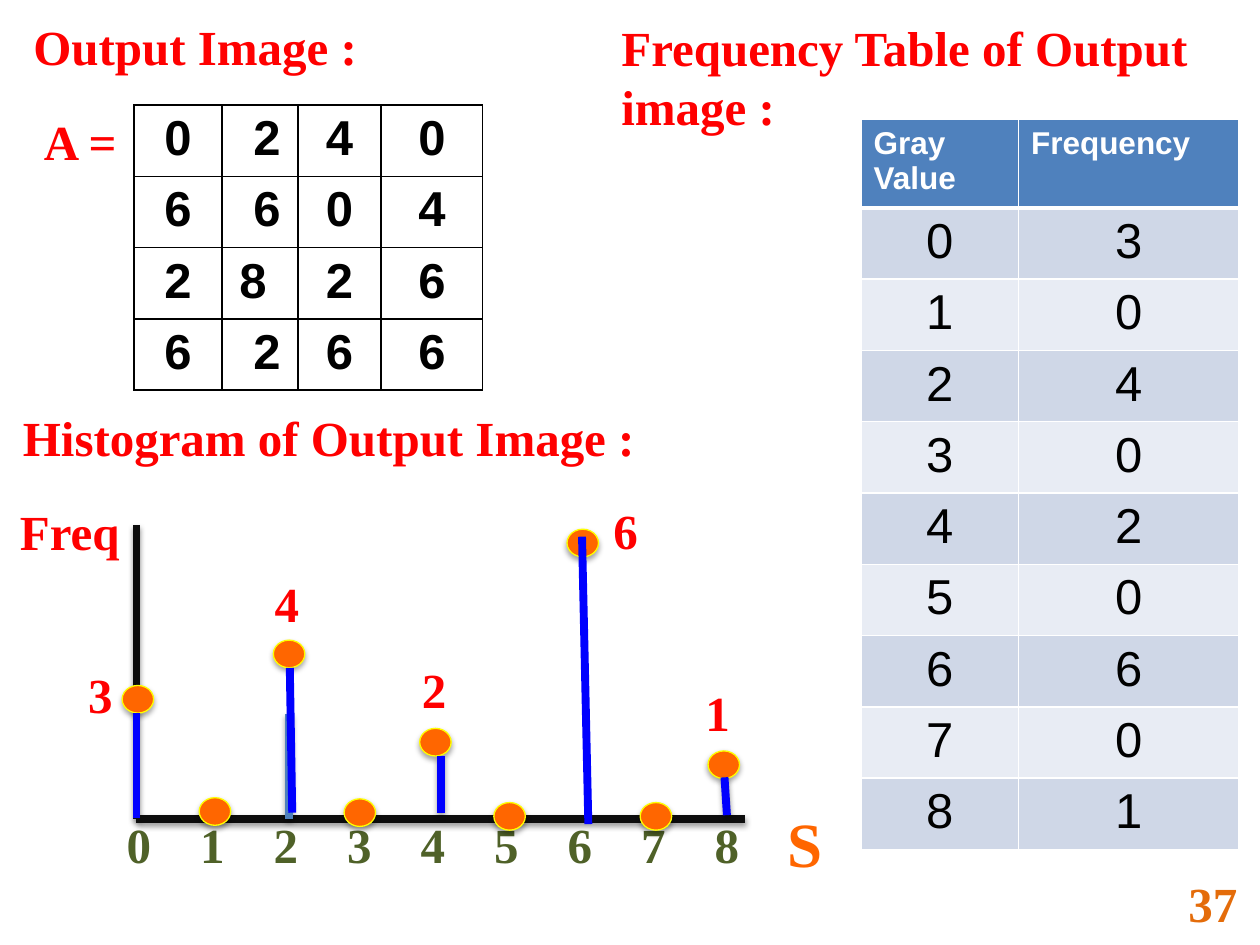
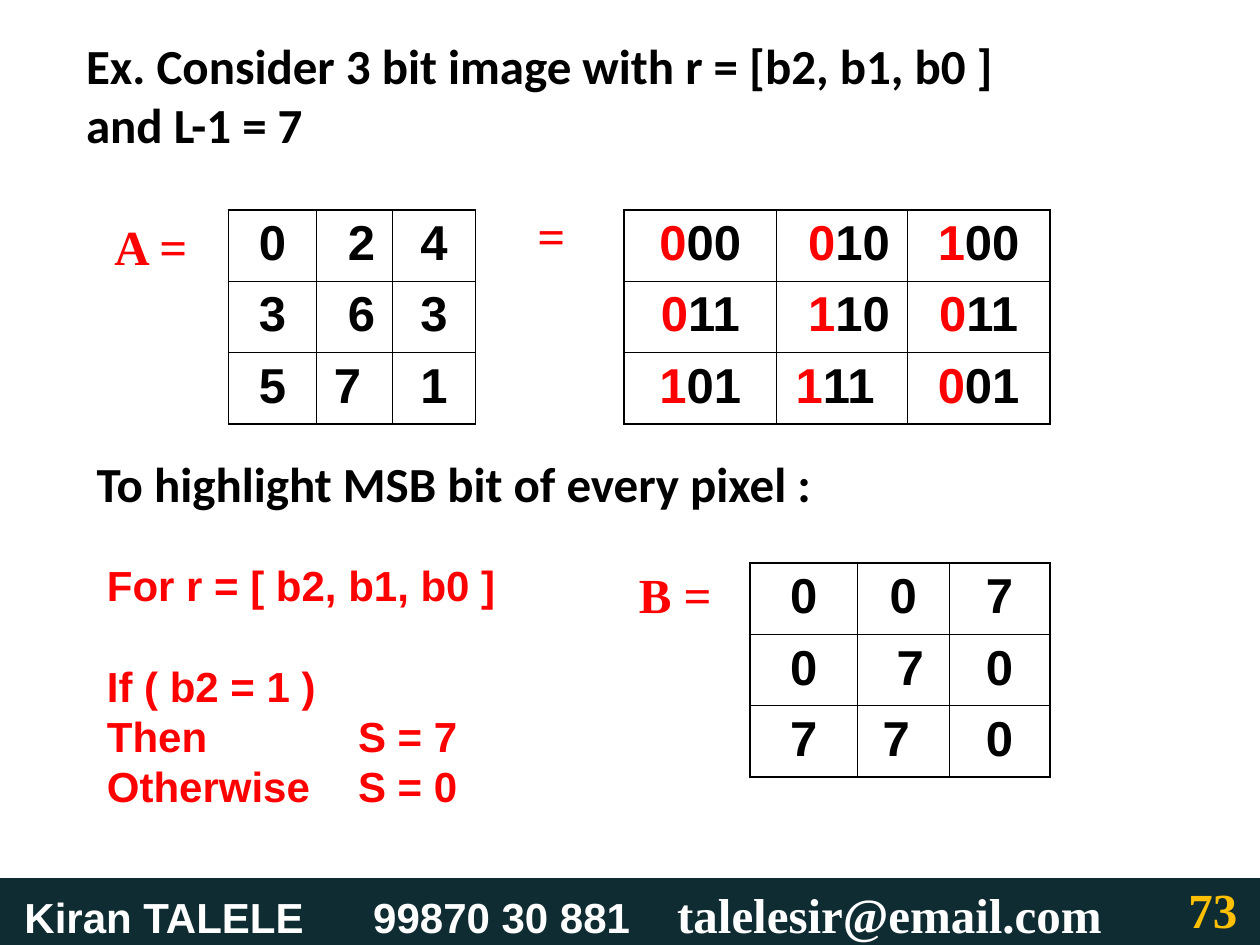
from lxml import etree
from pptx import Presentation
from pptx.dml.color import RGBColor
from pptx.enum.shapes import MSO_CONNECTOR, MSO_SHAPE
from pptx.enum.text import MSO_ANCHOR, MSO_AUTO_SIZE, PP_ALIGN
from pptx.oxml.ns import qn
from pptx.util import Pt

LEFT, CENTER = PP_ALIGN.LEFT, PP_ALIGN.CENTER
TOP, MIDDLE = MSO_ANCHOR.TOP, MSO_ANCHOR.MIDDLE
NO_AUTOFIT = MSO_AUTO_SIZE.NONE
STRAIGHT = MSO_CONNECTOR.STRAIGHT
OVAL, RECTANGLE = MSO_SHAPE.OVAL, MSO_SHAPE.RECTANGLE

SERIF, SANS, TITLE_FONT = "Times New Roman", "Arial", "Calibri"
RED, BLACK, WHITE, BLUE = "FF0000", "000000", "FFFFFF", "0000FF"
GREEN, ORANGE, YELLOW, AXIS = "4F6128", "FF6600", "FFFF00", "0D0D0D"
HEADER, BAND_DARK, BAND_LIGHT = "4F81BD", "CFD7E7", "E8ECF4"
FOOTER, PAGE_ORANGE, PAGE_GOLD = "102C33", "E46C0A", "FFC000"

BODY = 28
MARGIN = 7.2
NUDGE = 8
ROW = 40.75
LABEL_HEIGHT = 41
MARKER_SIZE = (18, 15.8)


def rgb(value):
    return RGBColor.from_string(value)


def points(*values):
    return [Pt(value) for value in values]


class Deck:
    def __init__(self):
        self.prs = Presentation()
        self.prs.slide_width, self.prs.slide_height = points(720, 540)
        self.slide = None

    def new_slide(self, layout):
        self.slide = self.prs.slides.add_slide(self.prs.slide_layouts[layout])

    def run(self, paragraph, text, color=RED, size=BODY, font=SERIF, bold=True):
        run = paragraph.add_run()
        run.text = text
        run.font.name, run.font.size, run.font.bold = font, Pt(size), bold
        run.font.color.rgb = rgb(color)

    def tabs(self, paragraph, *stops):
        tab_list = etree.SubElement(paragraph._p.get_or_add_pPr(), qn("a:tabLst"))
        for stop in stops:
            etree.SubElement(tab_list, qn("a:tab"), pos=str(Pt(stop)), algn="l")

    def frame(self, shape, anchor=MIDDLE):
        frame = shape.text_frame
        frame.word_wrap, frame.auto_size = True, NO_AUTOFIT
        frame.vertical_anchor = anchor
        return frame

    def label(self, text, left, top, width, height=LABEL_HEIGHT,
              anchor=MIDDLE, align=LEFT, **style):
        box = self.slide.shapes.add_textbox(*points(left, top, width, height))
        paragraph = self.frame(box, anchor).paragraphs[0]
        paragraph.alignment = align
        self.run(paragraph, text, **style)
        return paragraph

    def title(self, lines, left, top, width, height):
        title = self.slide.shapes.title
        title.left, title.top, title.width, title.height = points(
            left, top, width, height)
        paragraph = self.frame(title).paragraphs[0]
        paragraph.alignment = LEFT
        for index, line in enumerate(lines):
            if index:
                paragraph.add_line_break()
            self.run(paragraph, line, BLACK, font=TITLE_FONT)

    def page_number(self, number, top, color):
        self.label(number, 672, top, 48, 44, anchor=TOP, color=color)

    def effects(self, shape, shadow=None):
        """Shadow is (opacity in percent, distance); None means no shadow."""
        properties = shape._element.spPr
        effects = properties.find(qn("a:effectLst"))
        if effects is None:
            effects = etree.SubElement(properties, qn("a:effectLst"))
        if shadow:
            opacity, distance = shadow
            outer = etree.SubElement(
                effects, qn("a:outerShdw"), blurRad=str(Pt(3.1)),
                dist=str(Pt(distance)), dir="5400000", rotWithShape="0")
            black = etree.SubElement(outer, qn("a:srgbClr"), val=BLACK)
            etree.SubElement(black, qn("a:alpha"), val=str(opacity * 1000))

    def line(self, start, end, color, shadow=False):
        line = self.slide.shapes.add_connector(STRAIGHT, *points(*start, *end))
        line.line.color.rgb, line.line.width = rgb(color), Pt(4.5)
        self.effects(line, (38, 1.6) if shadow else None)

    def shape(self, kind, box, fill, outline=None, shadow=None):
        shape = self.slide.shapes.add_shape(kind, *points(*box))
        shape.fill.solid()
        shape.fill.fore_color.rgb = rgb(fill)
        if outline:
            shape.line.color.rgb, shape.line.width = rgb(outline), Pt(0.75)
        else:
            shape.line.fill.background()
        shape.shadow.inherit = False
        self.effects(shape, shadow)
        return shape

    def table(self, left, top, widths, heights):
        table = self.slide.shapes.add_table(
            len(heights), len(widths),
            *points(left, top, sum(widths), sum(heights))).table
        table.first_row = table.horz_banding = False
        for column, width in zip(table.columns, widths):
            column.width = Pt(width)
        for row, height in zip(table.rows, heights):
            row.height = Pt(height)
        return table

    def cell(self, cell, runs, border, fill=None, align=CENTER, top=1, bottom=1, **style):
        properties = cell._tc.get_or_add_tcPr()
        for side, width in (("L", 1), ("R", 1), ("T", top), ("B", bottom)):
            edge = etree.SubElement(properties, qn(f"a:ln{side}"), w=str(Pt(width)))
            solid = etree.SubElement(edge, qn("a:solidFill"))
            etree.SubElement(solid, qn("a:srgbClr"), val=border)
        if fill:
            cell.fill.solid()
            cell.fill.fore_color.rgb = rgb(fill)
        else:
            cell.fill.background()
        paragraph = cell.text_frame.paragraphs[0]
        paragraph.alignment = align
        for text, color in runs:
            self.run(paragraph, text, color, font=SANS, **style)

    def matrix(self, left, top, widths, rows, nudges, red_digits=0):
        """Draw a pixel grid; nudges move the second column right or left."""
        table = self.table(left, top, widths, [ROW] * len(rows))
        for r, (values, nudge) in enumerate(zip(rows, nudges)):
            for c, value in enumerate(values.split()):
                parts = [(value[:red_digits], RED), (value[red_digits:], BLACK)]
                cell = table.cell(r, c)
                self.cell(cell, [part for part in parts if part[0]], BLACK)
                if c == 1:
                    cell.margin_left = Pt(MARGIN + NUDGE * max(nudge, 0))
                    cell.margin_right = Pt(MARGIN + NUDGE * max(-nudge, 0))

    def frequency_table(self, left, top, header, frequencies):
        table = self.table(left, top, (90, 126),
                           [50.4] + [ROW] * len(frequencies))
        for c, name in enumerate(header):
            self.cell(table.cell(0, c), [(name, WHITE)], WHITE, HEADER,
                      LEFT, bottom=3, size=18)
        for gray, frequency in enumerate(frequencies):
            fill = BAND_LIGHT if gray % 2 else BAND_DARK
            for c, value in enumerate((gray, frequency)):
                self.cell(table.cell(gray + 1, c), [(str(value), BLACK)], WHITE,
                          fill, top=1 if gray else 3, bold=False)


def output_image_slide(deck):
    deck.new_slide(6)
    deck.page_number("37", 495.4, PAGE_ORANGE)

    # Headings
    deck.label("Output Image :", 12, 6, 252)
    heading = deck.label("Frequency Table of Output image :", 348, 6, 372, 75)
    heading.line_spacing = Pt(33.7)
    deck.label("Histogram of Output Image :", 6, 229, 372)

    # Frequency table and output matrix
    frequencies = (3, 0, 4, 0, 2, 0, 6, 0, 1)
    deck.frequency_table(492, 68.4, ("Gray Value", "Frequency"), frequencies)
    deck.label("A =", 18, 60, 62)
    deck.matrix(76.5, 60, (50.4, 43.4, 47.5, 58),
                ("0 2 4 0", "6 6 0 4", "2 8 2 6", "6 2 6 6"), (1, 1, -1, 1))

    # Histogram axes
    origin = (78, 468)
    deck.line((78, 300), origin, AXIS, shadow=True)
    deck.line(origin, (426, 468), AXIS, shadow=True)
    deck.label("Freq", 4.3, 283, 76)
    for gray in range(len(frequencies)):
        deck.label(str(gray), 64.4 + 42 * gray, 462, 30, align=CENTER, color=GREEN)
    deck.label("S", 442.8, 455.8, 44, 51, color=ORANGE, size=36)

    # Markers, one for each gray value
    markers = ((69.8, 391.7), (113.8, 455.8), (156.2, 365.8), (196.6, 456.5),
               (239.8, 416.2), (282.2, 458.6), (324, 302.4), (365.8, 458.6),
               (404.6, 429.1))
    for corner in markers:
        deck.shape(OVAL, (*corner, *MARKER_SIZE), ORANGE, YELLOW, (35, 1.8))

    # Stems: gray value, start, end, shadow, label corner
    stems = ((0, (78, 407.5), (78, 467.3), False, (43.2, 375.8)),
             (2, (165.6, 381.6), (167, 464.4), False, (149.8, 324)),
             (4, (252, 432), (252, 464.4), True, (234, 373)),
             (6, (332.6, 306.7), (336.2, 470.9), False, (343.4, 282.2)),
             (8, (414, 444.2), (415.4, 465.8), True, (396, 386.6)))
    deck.line((165, 408.2), (165, 468), HEADER, shadow=True)
    for gray, start, end, shadow, corner in stems:
        deck.line(start, end, BLUE, shadow)
        deck.label(str(frequencies[gray]), *corner, 29)


def bit_plane_slide(deck):
    deck.new_slide(5)
    deck.title(("Ex. Consider 3 bit image with r = [b2, b1, b0 ]", "and L-1 = 7"),
               42, 18, 630, 72)

    # Footer band
    band = deck.shape(RECTANGLE, (0, 501.8, 720, 38.2), FOOTER)
    frame = deck.frame(band, TOP)
    frame.margin_left = Pt(14)
    contact = frame.paragraphs[0]
    contact.alignment = LEFT
    deck.tabs(contact, 199.3, 373)
    deck.run(contact, "Kiran TALELE\t99870 30 881\t", WHITE, 24, SANS)
    deck.run(contact, "talelesir@email.com", WHITE)
    deck.page_number("73", 499, PAGE_GOLD)

    # Pixel values and their bits
    deck.label("A =", 58.3, 120.2, 62)
    deck.matrix(130.5, 120, (50.4, 43.4, 47.5), ("0 2 4", "3 6 3", "5 7 1"),
                (1, 1, -1))
    deck.label("=", 300, 114, 40)
    deck.matrix(356.5, 120, (87.3, 74.7, 81.4),
                ("000 010 100", "011 110 011", "101 111 001"), (1, 1, -1),
                red_digits=1)

    # Rule for the most significant bit
    deck.label("To highlight MSB bit of every pixel :", 48.2, 240, 432, 72,
               color=BLACK, font=TITLE_FONT)
    box = deck.slide.shapes.add_textbox(*points(54, 316, 264, 181))
    frame = deck.frame(box, TOP)
    rule = ("For r = [ b2, b1, b0 ]", "If ( b2 = 1 )", "Then\tS = 7",
            "Otherwise\tS = 0")
    for index, text in enumerate(rule):
        step = frame.add_paragraph() if index else frame.paragraphs[0]
        deck.tabs(step, 143.5)
        step.line_spacing = Pt(28.8)
        if index == 1:
            step.space_before = Pt(28.8)
        deck.run(step, text, size=24, font=SANS)

    # Result
    deck.label("B =", 358, 319, 62)
    deck.matrix(428.5, 321.8, (61.4, 52.6, 57.4), ("0 0 7", "0 7 0", "7 7 0"),
                (0, 1, -1))


def main():
    deck = Deck()
    output_image_slide(deck)
    bit_plane_slide(deck)
    deck.prs.save("out.pptx")


if __name__ == "__main__":
    main()
